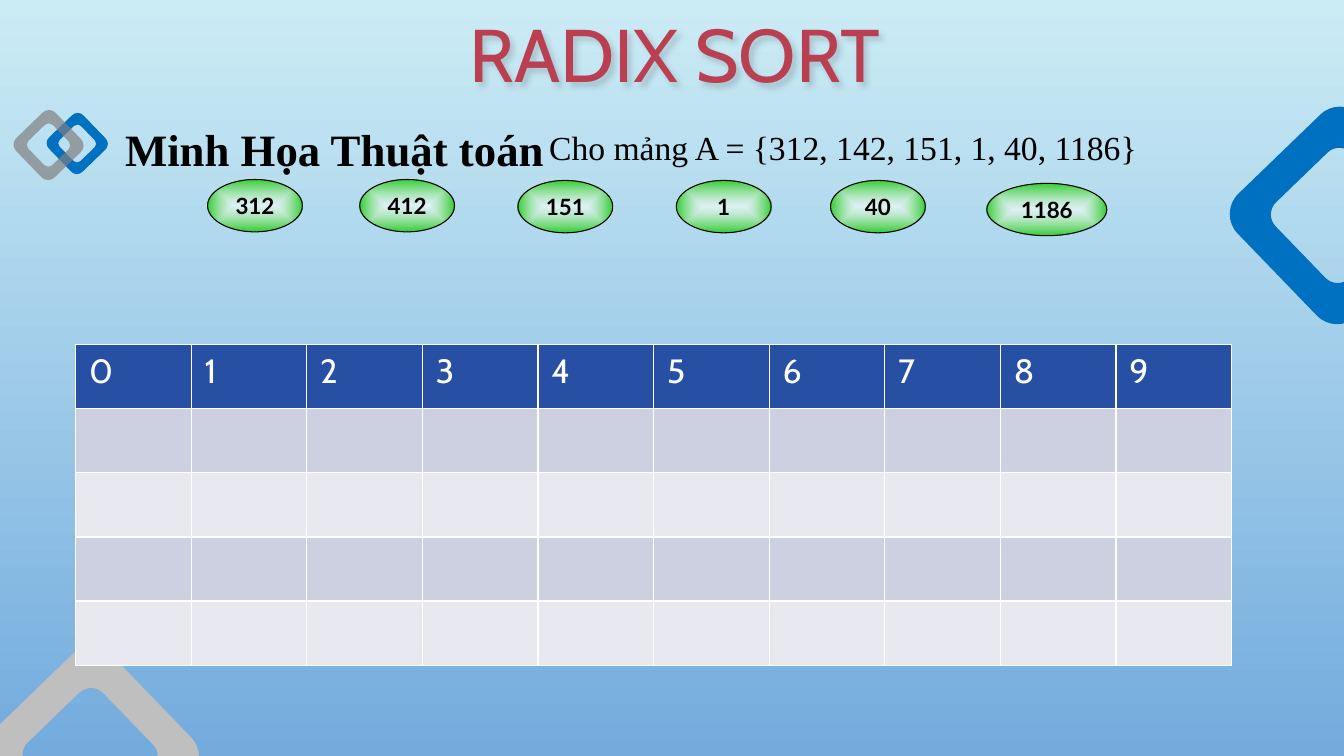
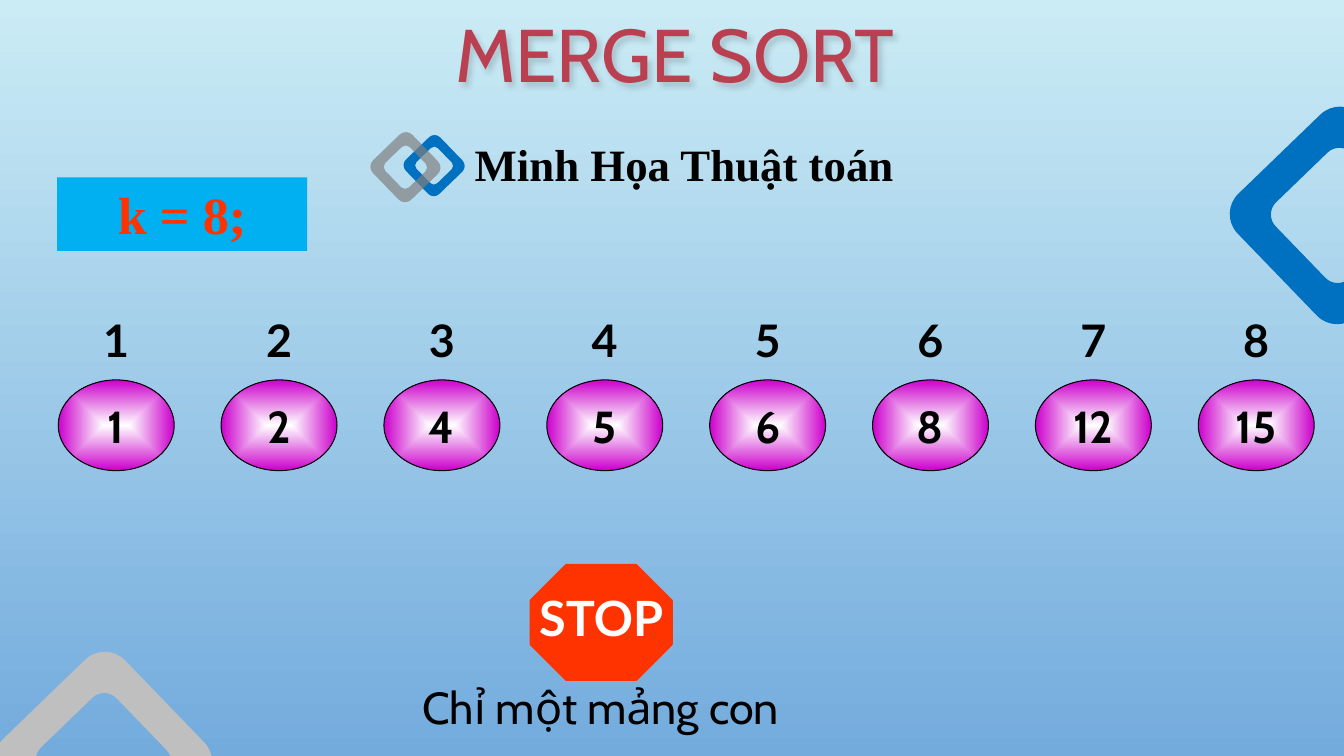
"""Builds two sorting-algorithm slides with a shared look."""
from math import cos, pi, sin

from lxml import etree
from pptx import Presentation
from pptx.dml.color import RGBColor
from pptx.enum.shapes import MSO_SHAPE as Shape
from pptx.enum.text import MSO_ANCHOR as Anchor, PP_ALIGN as Align
from pptx.oxml import parse_xml
from pptx.oxml.ns import nsdecls, qn
from pptx.util import Pt

COLOURS = {
    "sky_top": "CBECF5", "sky_bottom": "73ABDD",
    "title_dark": "5D2028", "title_mid": "BA3F51", "title_light": "D78A95",
    "silver": "BFBFBF", "grey": "808080", "blue": "0070C0",
    "black": "000000", "white": "FFFFFF",
    "green": "33CC33", "purple": "CC00CC", "red": "FF3300", "cyan": "00B0F0",
    "header": "274FA4", "band_dark": "CDD0E0", "band_light": "E8E9F0",
}
SERIF, DISPLAY, SANS = "Times New Roman", "Cabin", "Lato"
RING_SIZE = 121.7
ARC_HANDLE = 0.55


def colour(name):
    """Return the named colour as an RGBColor."""
    return RGBColor.from_string(COLOURS[name])


def set_gradient(parent, stops, shade):
    """Replace the solid fill inside parent with a gradient of (position, colour, opacity)."""
    marks = "".join(
        f'<a:gs pos="{position * 1000}"><a:srgbClr val="{COLOURS[name]}">'
        f'<a:alpha val="{opacity * 1000}"/></a:srgbClr></a:gs>'
        for position, name, opacity in stops)
    gradient = parse_xml(
        f'<a:gradFill {nsdecls("a")} rotWithShape="1"><a:gsLst>{marks}</a:gsLst>{shade}</a:gradFill>')
    parent.replace(parent.find(qn("a:solidFill")), gradient)


def write(box, text, font, size, ink="black", bold=False, align=Align.CENTER,
          anchor=Anchor.MIDDLE, insets=(7.2, 3.6), wrap=True):
    """Put one formatted line of text into a shape and return its run."""
    frame = box.text_frame
    frame.text = text
    frame.word_wrap = wrap
    frame.vertical_anchor = anchor
    frame.margin_left = frame.margin_right = Pt(insets[0])
    frame.margin_top = frame.margin_bottom = Pt(insets[1])
    para = frame.paragraphs[0]
    para.alignment = align
    span = para.runs[0]
    span.font.name, span.font.size, span.font.bold = font, Pt(size), bold
    span.font.color.rgb = colour(ink)
    return span


def add_text(page, left, top, width, height, text, font, size, **style):
    """Add a text box with one formatted line."""
    box = page.shapes.add_textbox(Pt(left), Pt(top), Pt(width), Pt(height))
    write(box, text, font, size, **style)


def add_figure(page, kind, left, top, width, height, fill=None, line=None, weight=0.75):
    """Add a flat preset shape without shadow."""
    figure = page.shapes.add_shape(kind, Pt(left), Pt(top), Pt(width), Pt(height))
    figure.shadow.inherit = False
    if fill:
        figure.fill.solid()
        figure.fill.fore_color.rgb = colour(fill)
    else:
        figure.fill.background()
    if line:
        figure.line.color.rgb = colour(line)
        figure.line.width = Pt(weight)
    else:
        figure.line.fill.background()
    return figure


def add_bubble(page, left, top, width, height, text, fill, opacity, font, size):
    """Add an ellipse that glows from a white centre to its rim colour."""
    bubble = add_figure(page, Shape.OVAL, left, top, width, height, fill, "black")
    shade = '<a:path path="shape"><a:fillToRect l="50000" t="50000" r="50000" b="50000"/></a:path>'
    set_gradient(bubble._element.spPr, [(0, "white", opacity), (100, fill, 100)], shade)
    write(bubble, text, font, size, bold=True, wrap=False, insets=(0, 0))


def rounded_square(left, top, side, radius):
    """Return start, two handles and end of each rounded corner of a square."""
    near, far = radius, side - radius
    points = []
    for quarter, (x, y) in enumerate([(far, far), (near, far), (near, near), (far, near)]):
        for angle, handle in [(0, 0), (0, ARC_HANDLE), (1, -ARC_HANDLE), (1, 0)]:
            turn = (quarter + angle) * pi / 2
            points.append((Pt(left + x + radius * (cos(turn) - handle * sin(turn))),
                           Pt(top + y + radius * (sin(turn) + handle * cos(turn)))))
    return points


def curve_corners(outline):
    """Turn the three segments of each corner into one Bezier curve."""
    lines = list(outline.iter(qn("a:lnTo")))
    for contour in range(0, len(lines), 15):
        for first in range(contour, contour + 15, 4):
            segments = lines[first:first + 3]
            curve = parse_xml(f'<a:cubicBezTo {nsdecls("a")}/>')
            segments[0].addprevious(curve)
            for segment in segments:
                curve.append(segment[0])
                segment.getparent().remove(segment)


def add_ring(page, left, top, side, fill, opacity=100):
    """Add a rounded square ring standing on its corner."""
    band = 0.19 * side
    outer = rounded_square(left, top, side, 0.165 * side)
    inner = rounded_square(left + band, top + band, side - 2 * band, 0.1 * side)[::-1]
    builder = page.shapes.build_freeform(*outer[0], scale=1.0)
    builder.add_line_segments(outer[1:], close=True)
    builder.move_to(*inner[0])
    builder.add_line_segments(inner[1:], close=True)
    ring = builder.convert_to_shape()
    curve_corners(ring._element.spPr)
    ring.rotation = 316
    ring.shadow.inherit = False
    ring.line.fill.background()
    ring.fill.solid()
    ring.fill.fore_color.rgb = colour(fill)
    if opacity < 100:
        shade = ring._element.spPr.find(qn("a:solidFill"))[0]
        etree.SubElement(shade, qn("a:alpha")).set("val", str(opacity * 1000))


def add_title(page, text):
    """Format the title placeholder with gradient letters and a soft shadow."""
    title = page.shapes.title
    title.left, title.top, title.width, title.height = Pt(0), Pt(0), Pt(964), Pt(75.6)
    span = write(title, text, DISPLAY, 53.3, "title_mid")
    set_gradient(span._r.rPr, [(0, "title_dark", 100), (50, "title_mid", 100),
                               (100, "title_light", 100)], '<a:lin ang="5400000" scaled="0"/>')
    title.shadow.inherit = False
    title._element.spPr.find(qn("a:effectLst")).append(parse_xml(
        f'<a:outerShdw {nsdecls("a")} blurRad="50800" dist="38100" dir="2700000">'
        '<a:srgbClr val="000000"><a:alpha val="15000"/></a:srgbClr></a:outerShdw>'))


def add_heading(page, left, top, logo_left, logo_top):
    """Add the section heading and its pair of linked rings."""
    add_text(page, left, top, 320.4, 39.6, "Minh Họa Thuật toán", SERIF, 32,
             bold=True, align=Align.LEFT, insets=(0, 3.6))
    add_ring(page, logo_left + 23, logo_top + 1.4, 34.2, "blue")
    add_ring(page, logo_left, logo_top, 39.2, "grey", 69)


def add_page(deck, title, corner):
    """Add a slide with its title and the two edge rings."""
    page = deck.slides.add_slide(deck.slide_layouts[5])
    add_title(page, title)
    add_ring(page, *corner, RING_SIZE, "silver")
    add_ring(page, 895.3, 93, RING_SIZE, "blue")
    return page


def set_borders(cell):
    """Give a cell thin white borders."""
    properties = cell._tc.get_or_add_tcPr()
    for index, side in enumerate("LRTB"):
        properties.insert(index, parse_xml(
            f'<a:ln{side} {nsdecls("a")} w="{Pt(1)}"><a:solidFill>'
            f'<a:srgbClr val="{COLOURS["white"]}"/></a:solidFill></a:ln{side}>'))


def add_bucket_table(page, left, top, width, height, rows=5, columns=10):
    """Add the table of digit buckets."""
    frame = page.shapes.add_table(rows, columns, Pt(left), Pt(top), Pt(width), Pt(height))
    table = frame.table
    for column in table.columns:
        column.width = Pt(width / columns)
    for index, row in enumerate(table.rows):
        row.height = Pt(height / rows)
        fill = "header" if index == 0 else ("band_light", "band_dark")[index % 2]
        for digit, cell in enumerate(row.cells):
            cell.fill.solid()
            cell.fill.fore_color.rgb = colour(fill)
            set_borders(cell)
            cell.margin_left = cell.margin_right = Pt(9.6)
            cell.margin_top = cell.margin_bottom = Pt(4.8)
            if index == 0:
                cell.text = str(digit)
                font = cell.text_frame.paragraphs[0].runs[0].font
                font.name, font.size, font.bold = DISPLAY, Pt(24), False
                font.color.rgb = colour("white")


def add_indexed_bubbles(page, left, top, values, pitch=116.33, width=82.8, height=64.8):
    """Add a row of numbered positions above the bubbles that hold the values."""
    for index, value in enumerate(values):
        x = left + index * pitch
        label = add_figure(page, Shape.OVAL, x, top, width, height)
        write(label, str(index + 1), SANS, 32, bold=True, anchor=Anchor.TOP)
        add_bubble(page, x, top + 61.2, width, height, str(value), "purple", 100, DISPLAY, 32)


def add_stop_sign(page, left, top):
    """Add the stop sign with its caption."""
    sign = add_figure(page, Shape.OCTAGON, left + 104.4, top, 100.1, 81.4, "red", "red", 2.25)
    sign.adjustments[0] = 0.31
    write(sign, "STOP", SANS, 34.7, "white", bold=True, anchor=Anchor.TOP,
          insets=(0, 3.6), wrap=False)
    add_text(page, left, top + 77.8, 308.2, 46.1, "Chỉ một mảng con", DISPLAY, 32,
             anchor=Anchor.TOP, insets=(0, 3.6))


def build_radix_page(deck):
    """Build the radix sort slide."""
    page = add_page(deck, "RADIX SORT", (3.6, 478.8))
    add_heading(page, 89.3, 86.4, 15.1, 84)
    add_text(page, 385.2, 87.1, 519.1, 36, "Cho mảng A = {312, 142, 151, 1, 40, 1186}",
             SERIF, 24, align=Align.LEFT, anchor=Anchor.TOP)
    add_bucket_table(page, 54, 246.2, 826, 229)
    bubbles = [("312", 148.3, 128.2, 67.7), ("412", 257, 128.2, 67.7),
               ("151", 370, 128.9, 67.7), ("1", 483.1, 128.9, 67.7),
               ("40", 593.3, 128.9, 67.7), ("1186", 704.9, 131, 85.7)]
    for value, left, top, width in bubbles:
        add_bubble(page, left, top, width, 37.4, value, "green", 60, SANS, 16)


def build_merge_page(deck):
    """Build the merge sort slide."""
    page = add_page(deck, "MERGE SORT", (13, 482.4))
    add_heading(page, 339.1, 97.2, 270, 99.8)
    add_indexed_bubbles(page, 41.6, 210.2, [1, 2, 4, 5, 6, 8, 12, 15])
    counter = add_figure(page, Shape.RECTANGLE, 40.8, 126.7, 178.6, 52.6, "cyan")
    write(counter, "k = 8;", SERIF, 37.3, "red", bold=True, anchor=Anchor.TOP)
    add_stop_sign(page, 275, 403.9)


def main():
    """Set up the deck, build both slides and save."""
    deck = Presentation()
    deck.slide_width, deck.slide_height = Pt(960), Pt(540)
    sky = deck.slide_master.background.fill
    sky.gradient()
    sky.gradient_angle = 270
    for stop, position, name in zip(sky.gradient_stops, (0, 1), ("sky_top", "sky_bottom")):
        stop.position = position
        stop.color.rgb = colour(name)
    build_radix_page(deck)
    build_merge_page(deck)
    deck.save("out.pptx")


if __name__ == "__main__":
    main()
